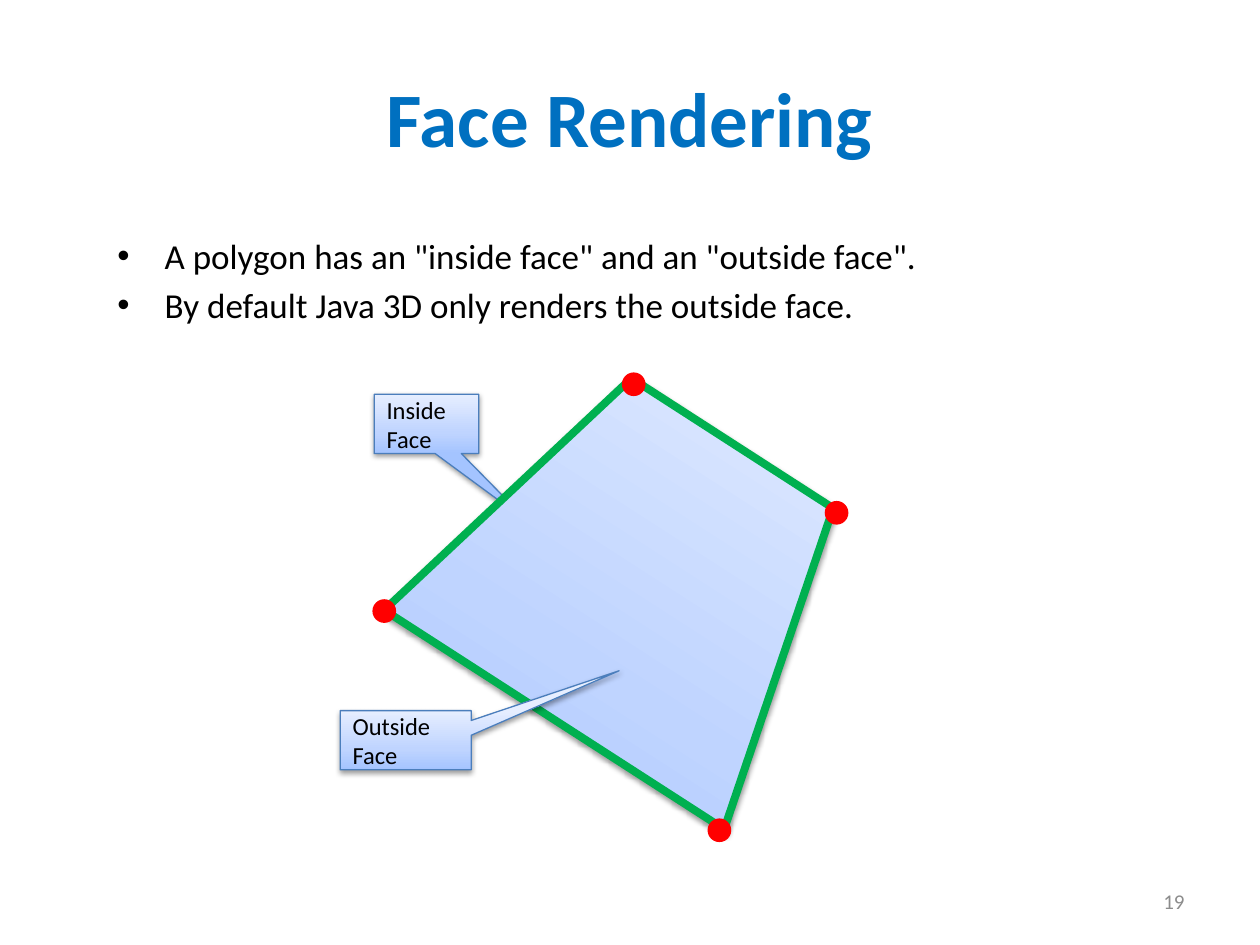
import copy
from dataclasses import dataclass

import lxml.etree
import pptx
import pptx.dml.color
import pptx.enum.shapes
import pptx.enum.text
import pptx.oxml.ns
import pptx.util

Pt = pptx.util.Pt
RGB = pptx.dml.color.RGBColor
Kind = pptx.enum.shapes.MSO_SHAPE
Align = pptx.enum.text.PP_ALIGN
Anchor = pptx.enum.text.MSO_ANCHOR
qn = pptx.oxml.ns.qn

FONT = "Calibri"
BLACK = RGB(0x00, 0x00, 0x00)
BLUE = RGB(0x00, 0x70, 0xC0)
GRAY = RGB(0x8C, 0x8C, 0x8C)
GREEN = RGB(0x00, 0xB0, 0x50)
RED = RGB(0xFF, 0x00, 0x00)
STEEL = RGB(0x4B, 0x7E, 0xBC)
SHADES = [
    (0, RGB(0xA4, 0xC4, 0xFF)),
    (0.35, RGB(0xBF, 0xD4, 0xFF)),
    (1, RGB(0xE6, 0xEE, 0xFF)),
]
DOT = 11.5


@dataclass
class Box:
    left: float
    top: float
    width: float
    height: float

    def place(self) -> tuple:
        return tuple(Pt(v) for v in (self.left, self.top, self.width, self.height))


@dataclass
class Callout:
    text: str
    box: Box
    tip: tuple[float, float]


INSIDE = Callout("Inside Face", Box(213.84, 225.36, 59.76, 33.84), (0.985, 1.672))
OUTSIDE = Callout("Outside Face", Box(194.4, 406.08, 74.88, 33.84), (1.629, -1.174))
FACE = Box(252, 238.32, 231.12, 187.92)
DOTS = [(356.4, 213.84), (472.32, 287.28), (405.36, 468.72), (213.84, 343.44)]
POINTS = [
    'A polygon has an "inside face" and an "outside face".',
    "By default Java 3D only renders the outside face.",
]


def style(par, size: float, color: RGB, bold: bool = False) -> None:
    for run in par.runs:
        run.font.name = FONT
        run.font.size = Pt(size)
        run.font.bold = bold
        run.font.color.rgb = color


def add_shape(slide, kind, box: Box, line: RGB, width: float):
    shape = slide.shapes.add_shape(kind, *box.place())
    shape.shadow.inherit = False
    shape.line.color.rgb = line
    shape.line.width = Pt(width)
    return shape


def shade(shape) -> None:
    """Give the shape the three-stop gradient and a soft shadow below."""
    shape.fill.gradient()
    shape.fill.gradient_angle = 90
    props = shape._element.spPr
    stops = props.find(qn("a:gradFill")).find(qn("a:gsLst"))
    stops.append(copy.deepcopy(stops[0]))
    for stop, (pos, color) in zip(shape.fill.gradient_stops, SHADES):
        stop.position = pos
        stop.color.rgb = color
    drop = lxml.etree.SubElement(
        props.find(qn("a:effectLst")), qn("a:outerShdw"),
        blurRad=str(Pt(3.1)), dist=str(Pt(1.6)), dir="5400000", rotWithShape="0")
    tone = lxml.etree.SubElement(drop, qn("a:srgbClr"), val=str(BLACK))
    lxml.etree.SubElement(tone, qn("a:alpha"), val="38000")


def add_callout(slide, note: Callout) -> None:
    shape = add_shape(slide, Kind.RECTANGULAR_CALLOUT, note.box, STEEL, 0.75)
    shade(shape)
    for i, value in enumerate(note.tip):
        shape.adjustments[i] = value
    frame = shape.text_frame
    frame.text = note.text
    frame.word_wrap = True
    frame.vertical_anchor = Anchor.MIDDLE
    frame.paragraphs[0].alignment = Align.LEFT
    style(frame.paragraphs[0], 14, BLACK)


def add_face(slide) -> None:
    face = add_shape(slide, Kind.TRAPEZOID, FACE, GREEN, 4.5)
    face.rotation = 32.8
    shade(face)
    for left, top in DOTS:
        dot = add_shape(slide, Kind.OVAL, Box(left, top, DOT, DOT), RED, 2)
        dot.fill.solid()
        dot.fill.fore_color.rgb = RED


def add_title(slide) -> None:
    title = slide.shapes.title
    title.left, title.top, title.width, title.height = Box(36, 21.6, 648, 90).place()
    title.text_frame.text = "Face Rendering"
    title.text_frame.vertical_anchor = Anchor.MIDDLE
    par = title.text_frame.paragraphs[0]
    par.alignment = Align.CENTER
    style(par, 44, BLUE, True)


def add_text(slide, box: Box, text: str):
    frame = slide.shapes.add_textbox(*box.place()).text_frame
    frame.word_wrap = True
    frame.text = text
    return frame


def add_points(slide) -> None:
    frame = add_text(slide, Box(60, 130.32, 612, 190.08), "\n".join(POINTS))
    for i, par in enumerate(frame.paragraphs):
        props = par._p.get_or_add_pPr()
        props.set("marL", str(Pt(27)))
        props.set("indent", str(Pt(-27)))
        lxml.etree.SubElement(props, qn("a:buFont"), typeface="Arial")
        lxml.etree.SubElement(props, qn("a:buChar"), char="•")
        par.space_before = Pt(4 if i else 0)
        style(par, 20, BLACK)


def add_number(slide) -> None:
    frame = add_text(slide, Box(516, 500.4, 168, 28.8), "19")
    frame.vertical_anchor = Anchor.MIDDLE
    frame.paragraphs[0].alignment = Align.RIGHT
    style(frame.paragraphs[0], 12, GRAY)


def main() -> None:
    deck = pptx.Presentation()
    deck.slide_width, deck.slide_height = Pt(720), Pt(540)
    slide = deck.slides.add_slide(deck.slide_layouts.get_by_name("Title Only"))
    add_title(slide)
    add_callout(slide, INSIDE)
    add_number(slide)
    add_points(slide)
    add_face(slide)
    add_callout(slide, OUTSIDE)
    deck.save("out.pptx")


if __name__ == "__main__":
    main()
